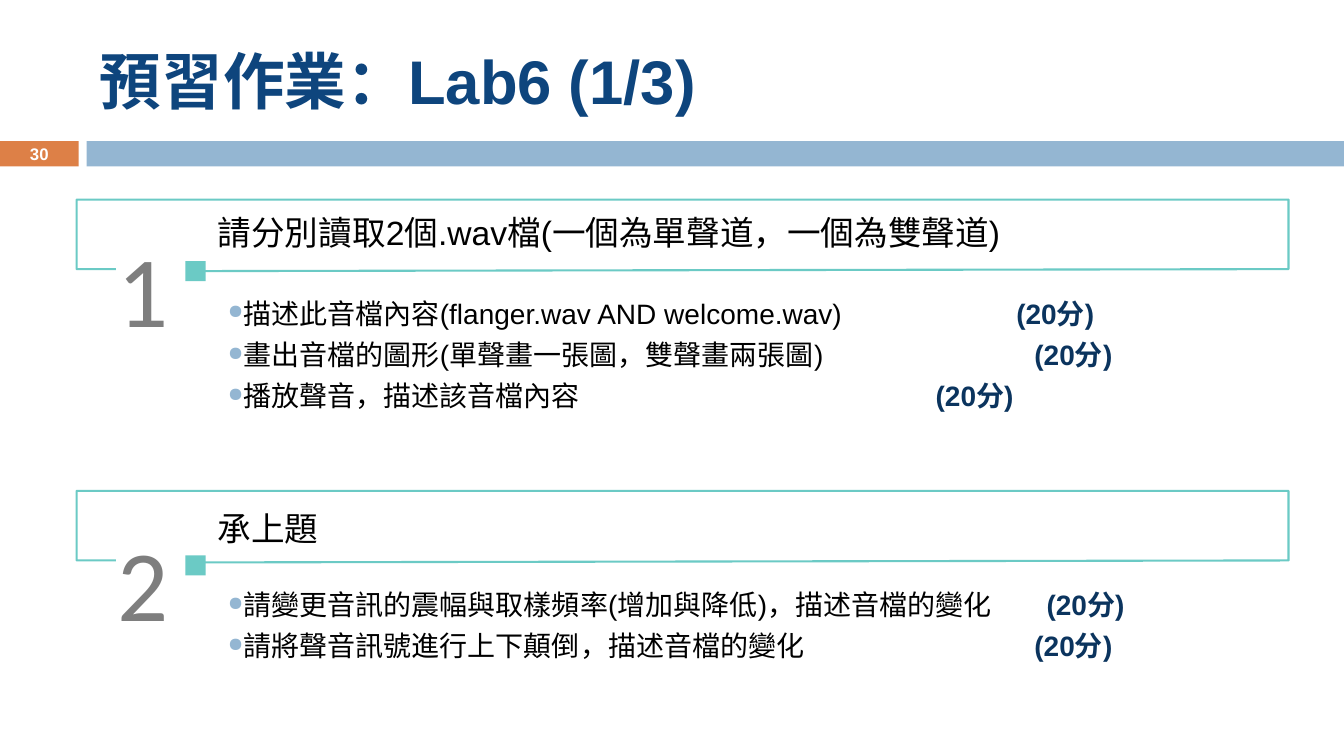
from lxml import etree
from pptx import Presentation
from pptx import util as u
from pptx.dml.color import RGBColor
from pptx.enum import shapes, text
from pptx.oxml.ns import qn

NAVY = RGBColor(0x0E, 0x45, 0x7D)
DARK = RGBColor(0x0B, 0x34, 0x5E)
BLUE = RGBColor(0x94, 0xB6, 0xD2)
RUST = RGBColor(0xDD, 0x80, 0x47)
TEAL = RGBColor(0x6B, 0xCA, 0xC5)
GRAY = RGBColor(0x7E, 0x7E, 0x7E)
BLACK = RGBColor(0, 0, 0)
WHITE = RGBColor(255, 255, 255)

TITLE = "預習作業：Lab6 (1/3)"
PAGE = "30"
SCORE = "(20分)"
# Each task: number, top, drop to the square, drop to the heading, heading,
# and its items with the tab stop of the score.
TASKS = [
    ("1", 1.98, 0.61, 0.12, "請分別讀取2個.wav檔(一個為單聲道，一個為雙聲道)", [
        ("描述此音檔內容(flanger.wav AND welcome.wav)", 7.82),
        ("畫出音檔的圖形(單聲畫一張圖，雙聲畫兩張圖)", 8.0),
        ("播放聲音，描述該音檔內容", 7.02),
    ]),
    ("2", 4.87, 0.64, 0.17, "承上題", [
        ("請變更音訊的震幅與取樣頻率(增加與降低)，描述音檔的變化", 8.12),
        ("請將聲音訊號進行上下顛倒，描述音檔的變化", 8.0),
    ]),
]
LEFT, RIGHT, HIGH = 0.76, 12.78, 0.69


def write(para, words, size, color, bold=False, font="Arial"):
    run = para.add_run()
    run.text = words
    run.font.size = u.Pt(size)
    run.font.name = font
    run.font.bold = bold
    run.font.color.rgb = color


def block(slide, x, y, w, h, color):
    rect = slide.shapes.add_shape(
        shapes.MSO_SHAPE.RECTANGLE, *map(u.Inches, (x, y, w, h)))
    rect.shadow.inherit = False
    rect.fill.solid()
    rect.fill.fore_color.rgb = color
    rect.line.fill.background()
    return rect


def box(slide, x, y, w, h):
    """Add a wrapping text box without insets and return its text frame."""
    frame = slide.shapes.add_textbox(*map(u.Inches, (x, y, w, h))).text_frame
    frame.word_wrap = True
    frame.margin_left = frame.margin_right = 0
    frame.margin_top = frame.margin_bottom = 0
    return frame


def bullet(para, stop):
    """Give a paragraph a hanging dot and one tab stop."""
    para.space_before = u.Pt(5.5)
    props = para._p.get_or_add_pPr()
    props.set("marL", "0")
    props.set("indent", str(-u.Inches(0.3)))
    tint = etree.SubElement(props, qn("a:buClr"))
    etree.SubElement(tint, qn("a:srgbClr"), val=str(BLUE))
    etree.SubElement(props, qn("a:buSzPct"), val="70000")
    etree.SubElement(props, qn("a:buChar"), char="●")
    tabs = etree.SubElement(props, qn("a:tabLst"))
    etree.SubElement(tabs, qn("a:tab"), pos=str(u.Inches(stop)), algn="l")


def outline(slide, top):
    """Draw the open frame that leaves room for the number."""
    base = top + HIGH
    spots = [(1.15, base), (LEFT, base), (LEFT, top), (RIGHT, top),
             (RIGHT, base), (2.0, base + 0.02)]
    first, *rest = [(u.Inches(x), u.Inches(y)) for x, y in spots]
    pen = slide.shapes.build_freeform(*first)
    pen.add_line_segments(rest, close=False)
    shape = pen.convert_to_shape()
    shape.shadow.inherit = False
    shape.fill.background()
    shape.line.color.rgb = TEAL
    shape.line.width = u.Pt(1.5)


def task(slide, num, top, drop, gap, head, items):
    outline(slide, top)
    block(slide, 1.84, top + drop, 0.2, 0.2, TEAL)
    digit = box(slide, 1.17, top + drop - 0.34, 0.53, 1.21)
    write(digit.paragraphs[0], num, 72, GRAY, font="Calibri")
    label = box(slide, 2.16, top + gap, 9.78, 0.4)
    write(label.paragraphs[0], head, 24, BLACK)
    body = box(slide, 2.26, top + 0.96, 10.24, 0.4 * len(items))
    for i, (words, stop) in enumerate(items):
        para = body.add_paragraph() if i else body.paragraphs[0]
        bullet(para, stop)
        write(para, words + "\t", 20, BLACK)
        write(para, SCORE, 20, DARK, bold=True)


def main():
    deck = Presentation()
    deck.slide_width, deck.slide_height = u.Inches(13.33), u.Inches(7.5)
    slide = deck.slides.add_slide(deck.slide_layouts[5])

    title = slide.shapes.title
    title.left, title.top = u.Inches(0.89), u.Inches(0.25)
    title.width, title.height = u.Inches(11.89), u.Inches(1.08)
    title.text_frame.vertical_anchor = text.MSO_ANCHOR.MIDDLE
    para = title.text_frame.paragraphs[0]
    para.alignment = text.PP_ALIGN.LEFT
    write(para, TITLE, 44, NAVY, bold=True)

    page = block(slide, 0, 1.4, 0.78, 0.25, RUST).text_frame
    page.margin_top = page.margin_bottom = 0
    page.vertical_anchor = text.MSO_ANCHOR.MIDDLE
    page.paragraphs[0].alignment = text.PP_ALIGN.CENTER
    write(page.paragraphs[0], PAGE, 12, WHITE, bold=True)
    block(slide, 0.86, 1.4, 12.47, 0.25, BLUE)

    for row in TASKS:
        task(slide, *row)
    deck.save("out.pptx")


if __name__ == "__main__":
    main()
